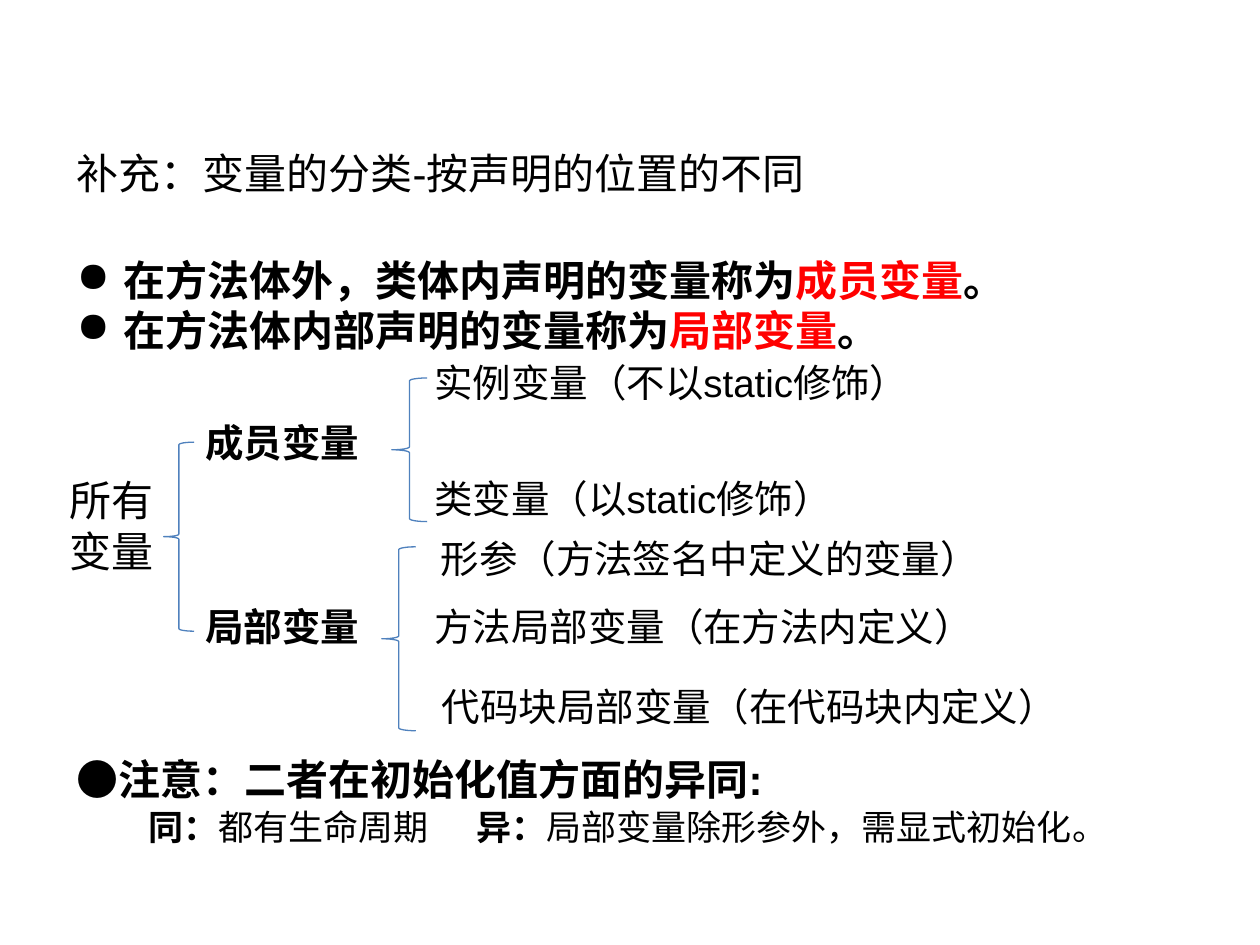
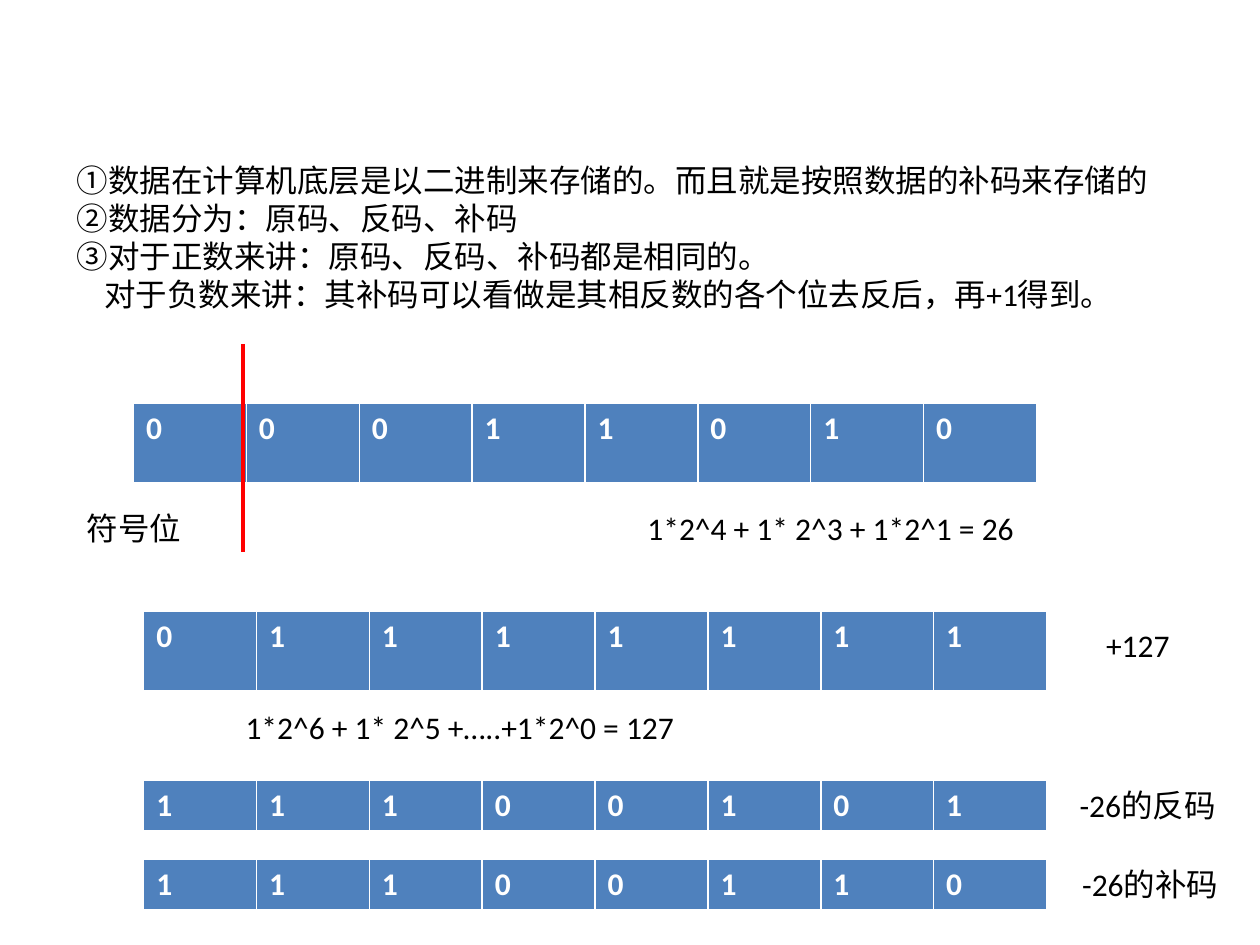
from lxml.etree import SubElement
from pptx import Presentation
from pptx.dml.color import RGBColor
from pptx.enum.shapes import MSO_CONNECTOR, MSO_SHAPE
from pptx.oxml.ns import qn
from pptx.util import Inches, Pt

BLACK = RGBColor(0x00, 0x00, 0x00)
WHITE = RGBColor(0xFF, 0xFF, 0xFF)
RED = RGBColor(0xFF, 0x00, 0x00)
BLUE = RGBColor(0x4F, 0x81, 0xBD)

COLUMNS, ROWS = 100, 75
GRID = Inches(0.1)
BIT_COLUMNS = 8.96
MARGIN = 5.1


def grid(*lengths):
    return [round(length * GRID) for length in lengths]


def add_text(slide, area, lines, font, size, bold=None):
    frame = slide.shapes.add_textbox(*grid(*area)).text_frame
    frame.word_wrap = True
    for index, line in enumerate(lines):
        paragraph = frame.paragraphs[0] if index == 0 else frame.add_paragraph()
        for text, style in [(line, {})] if isinstance(line, str) else line:
            run = paragraph.add_run()
            run.text = text
            for attribute, value in style.items():
                if attribute == "color":
                    run.font.color.rgb = value
                else:
                    setattr(run.font, attribute, value)
        style_font(paragraph, font, size, bold)
    return frame.paragraphs


def style_font(paragraph, font, size, bold=None, color=BLACK):
    paragraph.font.name = font
    paragraph.font.size = Pt(size)
    paragraph.font.bold = bold
    paragraph.font.color.rgb = color
    for run in paragraph.runs:
        run.font.name = font
        run.font.size = Pt(size)
        if run.font.bold is None:
            run.font.bold = bold
        if run.font.color.type is None:
            run.font.color.rgb = color


def indent(paragraph, columns, first_line=0):
    properties = paragraph._p.get_or_add_pPr()
    margin, hanging = grid(columns, first_line)
    properties.set("marL", str(margin))
    properties.set("indent", str(hanging))
    return properties


def add_bullet(paragraph):
    properties = indent(paragraph, 3.75, -3.75)
    bullet = properties.makeelement(qn("a:buChar"), {"char": "●"})
    properties.insert(0, bullet)


def add_tabs(paragraph, *columns):
    properties = paragraph._p.get_or_add_pPr()
    stops = properties.makeelement(qn("a:tabLst"), {})
    properties.insert(0, stops)
    for position in grid(*columns):
        SubElement(stops, qn("a:tab"), pos=str(position), algn="l")


def add_brace(slide, *area):
    brace = slide.shapes.add_shape(MSO_SHAPE.LEFT_BRACE, *grid(*area))
    brace.shadow.inherit = False
    brace.fill.background()
    brace.line.color.rgb = BLUE
    brace.line.width = Pt(0.75)


def add_bits(slide, left, top, height, bits):
    area = grid(left, top, BIT_COLUMNS * len(bits), height)
    table = slide.shapes.add_table(1, len(bits), *area).table
    for column, bit in enumerate(bits):
        cell = table.cell(0, column)
        cell.text = bit
        cell.fill.solid()
        cell.fill.fore_color.rgb = BLUE
        style_font(cell.text_frame.paragraphs[0], "Calibri", 18, True, WHITE)


def add_sign_divider(slide, column, top, bottom):
    divider = slide.shapes.add_connector(
        MSO_CONNECTOR.STRAIGHT, *grid(column, top, column, bottom))
    divider.line.color.rgb = RED
    divider.line.width = Pt(2.25)
    SubElement(divider._element.spPr, qn("a:effectLst"))


def build_variable_kinds(slide):
    add_text(slide, (MARGIN, 11.2, 64.6, 5),
             ["补充：变量的分类-按声明的位置的不同"], "Arial", 24)
    definitions = [
        [(start, {}), (term, {"color": RED}), ("。", {})]
        for start, term in [("在方法体外，类体内声明的变量称为", "成员变量"),
                            ("在方法体内部声明的变量称为", "局部变量")]]
    for paragraph in add_text(slide, (MARGIN, 19.7, 88.2, 9),
                              definitions, "Arial", 24, True):
        add_bullet(paragraph)

    add_text(slide, (4.5, 37.2, 9.2, 9), ["所有", "变量"], "Arial", 24)
    for top, group in [(32.8, "成员变量"), (47.4, "局部变量")]:
        add_text(slide, (15.3, top, 16.5, 4.7), [group], "Arial", 22, True)
    for left, top, kind in [(33.5, 28, "实例变量（不以static修饰）"),
                            (33.5, 37.2, "类变量（以static修饰）"),
                            (34, 42, "形参（方法签名中定义的变量）"),
                            (33.5, 47.4, "方法局部变量（在方法内定义）"),
                            (34.1, 53.7, "代码块局部变量（在代码块内定义）")]:
        add_text(slide, (left, top, 53.7, 4.7), [kind], "Arial", 22)
    for area in [(13, 35.1, 2.4, 15), (31.1, 30, 2.8, 11.4),
                 (30.3, 43.4, 2.7, 14.6)]:
        add_brace(slide, *area)

    add_text(slide, (MARGIN, 59.3, 88.2, 5),
             ["●注意：二者在初始化值方面的异同:"], "Arial", 24, True)
    comparison = [("\t同：", {"bold": True}), ("都有生命周期\t", {}),
                  ("异：", {"bold": True}),
                  ("局部变量除形参外，需显式初始化。", {})]
    note, = add_text(slide, (MARGIN, 63.4, 88.2, 4.3),
                     [comparison], "Arial", 20, False)
    add_tabs(note, 5.7, 31.7)


def build_binary_storage(slide):
    add_bits(slide, 10.6, 32, 6.3, "00011010")
    rules = add_text(slide, (MARGIN, 12.3, 90.6, 13), [
        "①数据在计算机底层是以二进制来存储的。而且就是按照数据的补码来存储的",
        "②数据分为：原码、反码、补码",
        "③对于正数来讲：原码、反码、补码都是相同的。",
        "对于负数来讲：其补码可以看做是其相反数的各个位去反后，再+1得到。",
    ], "Calibri", 18)
    indent(rules[-1], 2.2)
    add_sign_divider(slide, 19.3, 27.3, 43.8)

    for top, height, bits in [(48.5, 6.3, "01111111"),
                              (61.9, 4, "11100101"),
                              (68.2, 4, "11100110")]:
        add_bits(slide, 11.4, top, height, bits)
    for left, top, width, label in [
            (5.9, 39.9, 11, "符号位"),
            (50.4, 39.9, 36.6, "1*2^4 + 1* 2^3 + 1*2^1 = 26"),
            (18.5, 55.7, 68.5, "1*2^6 + 1* 2^5 +…..+1*2^0 = 127"),
            (86.8, 49.2, 9, "+127"),
            (84.7, 61.9, 15.3, "-26的反码"),
            (84.9, 68.2, 15.1, "-26的补码")]:
        add_text(slide, (left, top, width, 4), [label], "Calibri", 18)


def main():
    deck = Presentation()
    deck.slide_width, deck.slide_height = grid(COLUMNS, ROWS)
    blank = deck.slide_layouts[6]
    for build in (build_variable_kinds, build_binary_storage):
        build(deck.slides.add_slide(blank))
    deck.save("out.pptx")


if __name__ == "__main__":
    main()
